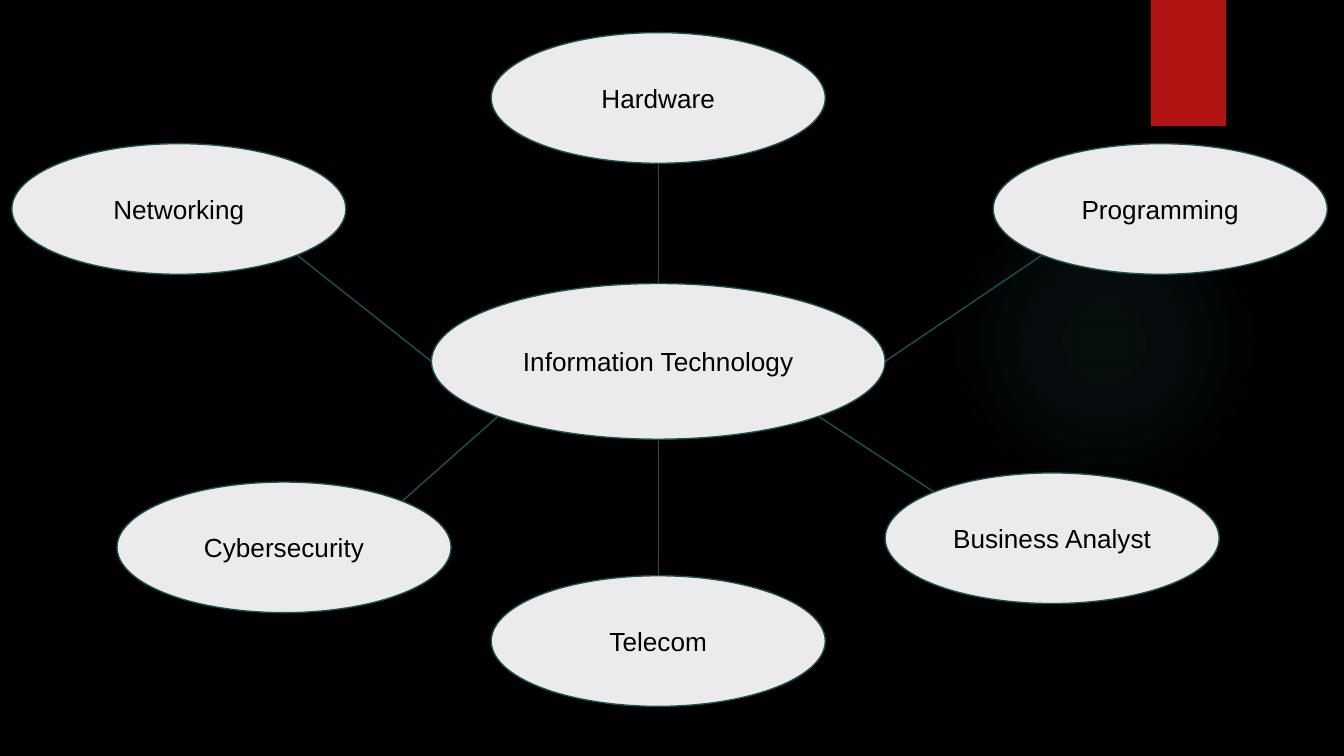
import math
from dataclasses import dataclass
from enum import IntEnum

import pptx
import pptx.dml.color
import pptx.enum.shapes
import pptx.enum.text
import pptx.oxml
import pptx.oxml.ns
import pptx.util

SLIDE_WIDTH = pptx.util.Inches(10)
SLIDE_HEIGHT = SLIDE_WIDTH * 9 // 16
SHAPES = pptx.enum.shapes.MSO_SHAPE


@dataclass(frozen=True)
class Theme:
    background: str = "000000"
    bubble: str = "EBEBEB"
    outline: str = "1E5155"
    text: str = "000000"
    ribbon: str = "B01513"
    glow: str = "50B9C1"
    font: str = "Arial"
    text_size: float = 14
    line_width: float = 0.75


THEME = Theme()


class Side(IntEnum):
    """Eight points on an ellipse, in steps of 45 degrees clockwise from the right."""
    RIGHT = 0
    BOTTOM_RIGHT = 1
    BOTTOM = 2
    BOTTOM_LEFT = 3
    LEFT = 4
    TOP_LEFT = 5
    TOP = 6
    TOP_RIGHT = 7


@dataclass(frozen=True)
class Bubble:
    """An ellipse, with centre and size in percent of the slide."""
    label: str
    x: float
    y: float
    width: float = 24.86
    height: float = 17.28

    def point(self, side: Side) -> tuple[float, float]:
        angle = math.radians(45 * side)
        return (self.x + self.width / 2 * math.cos(angle),
                self.y + self.height / 2 * math.sin(angle))


@dataclass(frozen=True)
class Branch:
    bubble: Bubble
    hub_side: Side
    bubble_side: Side


HUB = Bubble("Information Technology", 48.98, 47.8, 33.76, 20.6)
BRANCHES = [
    Branch(Bubble("Networking", 13.31, 27.64), Side.LEFT, Side.BOTTOM_RIGHT),
    Branch(Bubble("Hardware", 48.98, 12.96), Side.TOP, Side.BOTTOM),
    Branch(Bubble("Programming", 86.33, 27.64), Side.RIGHT, Side.BOTTOM_LEFT),
    Branch(Bubble("Cybersecurity", 21.14, 72.4), Side.BOTTOM_LEFT, Side.TOP_RIGHT),
    Branch(Bubble("Business Analyst", 78.29, 71.2), Side.BOTTOM_RIGHT, Side.TOP_LEFT),
    Branch(Bubble("Telecom", 48.98, 84.8), Side.BOTTOM, Side.TOP),
]


def across(percent: float) -> int:
    return round(SLIDE_WIDTH * percent / 100)


def down(percent: float) -> int:
    return round(SLIDE_HEIGHT * percent / 100)


def color(code: str) -> pptx.dml.color.RGBColor:
    return pptx.dml.color.RGBColor.from_string(code)


def drawing_xml(markup: str):
    """Parse one DrawingML element, adding its namespace to the root."""
    head, rest = markup.split(">", 1)
    return pptx.oxml.parse_xml(f"{head} {pptx.oxml.ns.nsdecls('a')}>{rest}")


def add_plain_shape(page, kind, left: float, top: float, width: float, height: float):
    shape = page.shapes.add_shape(kind, across(left), down(top), across(width), down(height))
    shape.shadow.inherit = False
    shape.line.fill.background()
    return shape


def write_text(shape, text: str, *, size: float, font: str, ink: str) -> None:
    box = shape.text_frame
    box.word_wrap = True
    box.vertical_anchor = pptx.enum.text.MSO_ANCHOR.MIDDLE
    box.margin_left = box.margin_right = pptx.util.Inches(0.1)
    box.margin_top = box.margin_bottom = pptx.util.Inches(0.1)
    para = box.paragraphs[0]
    para.alignment = pptx.enum.text.PP_ALIGN.CENTER
    span = para.add_run()
    span.text = text
    span.font.size = pptx.util.Pt(size)
    span.font.name = font
    span.font.color.rgb = color(ink)


def style_line(line) -> None:
    line.color.rgb = color(THEME.outline)
    line.width = pptx.util.Pt(THEME.line_width)


def draw_glow(page) -> None:
    glow = add_plain_shape(page, SHAPES.OVAL, 70.6, 24.53, 23.1, 41.07)
    glow.fill.background()
    stops = "".join(
        f'<a:gs pos="{place * 1000}"><a:srgbClr val="{THEME.glow}">'
        f'<a:alpha val="{alpha * 1000}"/></a:srgbClr></a:gs>'
        for place, alpha in [(0, 7), (36, 6), (69, 0)])
    gradient = drawing_xml(
        f'<a:gradFill><a:gsLst>{stops}</a:gsLst><a:path path="circle">'
        '<a:fillToRect l="50000" t="50000" r="50000" b="50000"/></a:path></a:gradFill>')
    properties = glow._element.spPr
    properties.replace(properties.find(pptx.oxml.ns.qn("a:noFill")), gradient)


def draw_ribbon(page) -> None:
    ribbon = add_plain_shape(page, SHAPES.RECTANGLE, 85.63, 0, 5.6, 16.67)
    ribbon.fill.solid()
    ribbon.fill.fore_color.rgb = color(THEME.ribbon)
    effects = ribbon._element.spPr.find(pptx.oxml.ns.qn("a:effectLst"))
    effects.append(drawing_xml(
        f'<a:outerShdw blurRad="{pptx.util.Pt(3)}" dist="{pptx.util.Pt(2)}" dir="5400000">'
        '<a:srgbClr val="000000"><a:alpha val="45000"/></a:srgbClr></a:outerShdw>'))


def draw_bubble(page, bubble: Bubble) -> None:
    oval = add_plain_shape(page, SHAPES.OVAL, bubble.x - bubble.width / 2,
                           bubble.y - bubble.height / 2, bubble.width, bubble.height)
    oval.fill.solid()
    oval.fill.fore_color.rgb = color(THEME.bubble)
    style_line(oval.line)
    write_text(oval, bubble.label, size=THEME.text_size, font=THEME.font, ink=THEME.text)


def draw_link(page, branch: Branch) -> None:
    start_x, start_y = branch.bubble.point(branch.bubble_side)
    end_x, end_y = HUB.point(branch.hub_side)
    link = page.shapes.add_connector(
        pptx.enum.shapes.MSO_CONNECTOR.STRAIGHT,
        across(start_x), down(start_y), across(end_x), down(end_y))
    style_line(link.line)
    link._element.spPr.append(drawing_xml("<a:effectLst></a:effectLst>"))


def main() -> None:
    deck = pptx.Presentation()
    deck.slide_width, deck.slide_height = SLIDE_WIDTH, SLIDE_HEIGHT
    page = deck.slides.add_slide(deck.slide_layouts.get_by_name("Blank"))
    page.background.fill.solid()
    page.background.fill.fore_color.rgb = color(THEME.background)

    draw_glow(page)
    draw_ribbon(page)
    for bubble in [HUB, *(branch.bubble for branch in BRANCHES)]:
        draw_bubble(page, bubble)
    for branch in BRANCHES:
        draw_link(page, branch)
    deck.save("out.pptx")


if __name__ == "__main__":
    main()
